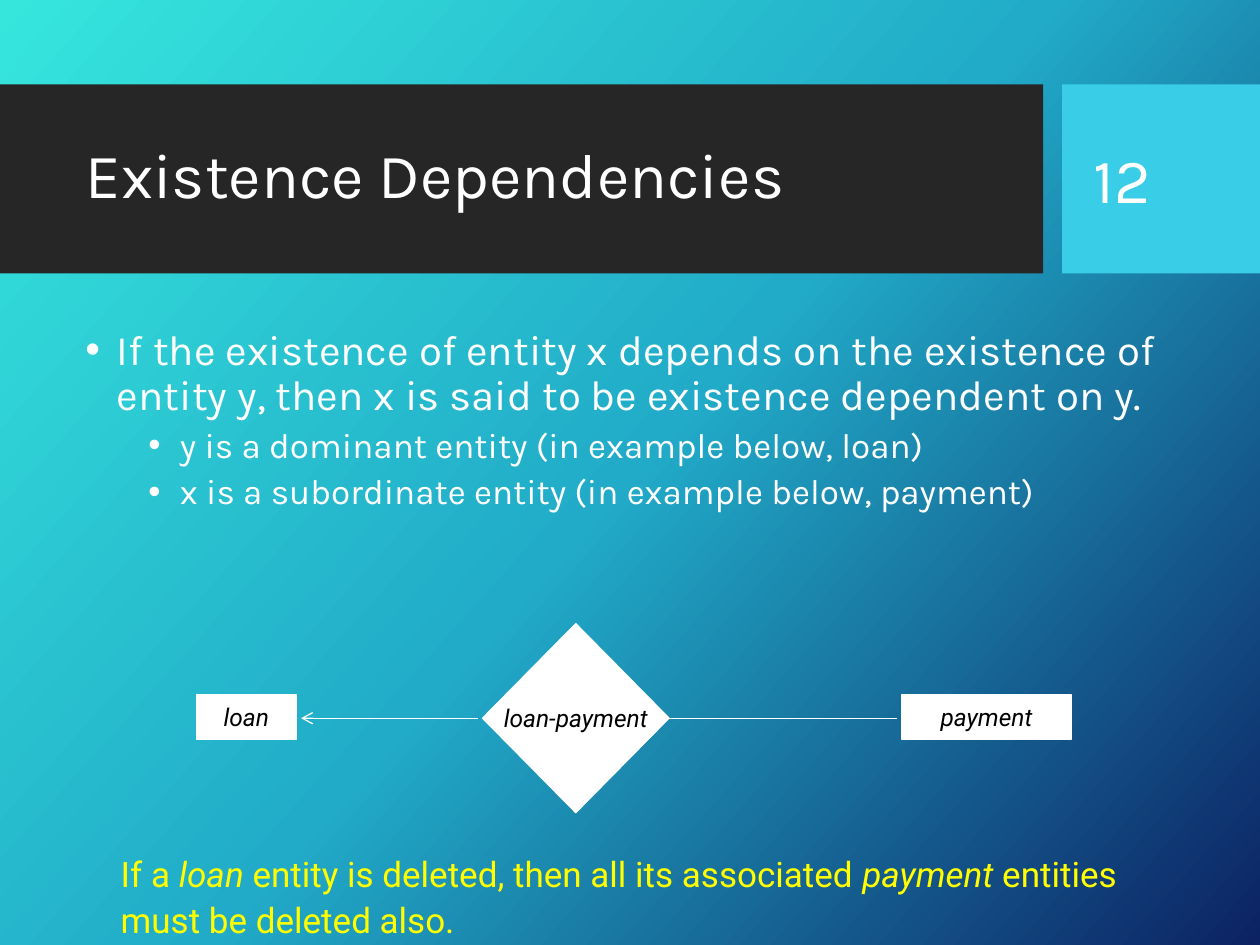
from copy import deepcopy
from lxml.etree import SubElement as Sub
from pptx import Presentation
from pptx.dml.color import RGBColor as RGB
from pptx.enum.shapes import MSO_CONNECTOR as Link, MSO_SHAPE as Kind
from pptx.enum.text import MSO_ANCHOR as Anchor, MSO_AUTO_SIZE as Fit, PP_ALIGN as Align
from pptx.oxml.ns import qn
from pptx.util import Inches, Pt

theme = {
    "sky": [(0, "36E6DD"), (0.5, "21ABC8"), (1, "0C2263")],
    "band": "262626", "tab": "39CDE7", "white": "FFFFFF", "black": "000000", "note": "FFFF00",
    "head": "Karla", "plain": "Roboto",
    "big": 36, "main": 24, "sub": 20, "small": 14,
}

deck = Presentation()
deck.slide_width, deck.slide_height = Inches(10), Inches(7.5)
slide = deck.slides.add_slide(deck.slide_layouts[5])
shapes = slide.shapes
col, row = deck.slide_width / 100, deck.slide_height / 75  # grid of 100 by 75


def cells(x, y, w, h):
    return [round(n) for n in (x * col, y * row, w * col, h * row)]


def style(para, size, color, font):
    for run in para.runs:
        run.font.size, run.font.name = Pt(theme[size]), theme[font]
        run.font.color.rgb = RGB.from_string(theme[color])


# Background gradient
fill = slide.background.fill
fill.gradient()
fill.gradient_angle = 360 - 42
stops = fill.gradient_stops
first = stops[0]._gs
first.addnext(deepcopy(first))
for stop, (pos, color) in zip(fill.gradient_stops, theme["sky"]):
    stop.position, stop.color.rgb = pos, RGB.from_string(color)

# Header band and number tab, behind the title
for spot, (x, w, color) in enumerate([(0, 82.8, "band"), (84.3, 15.7, "tab")], 2):
    bar = shapes.add_shape(Kind.RECTANGLE, *cells(x, 6.7, w, 15))
    bar.shadow.inherit = False
    bar.fill.solid()
    bar.fill.fore_color.rgb = RGB.from_string(theme[color])
    bar.line.fill.background()
    shapes._spTree.insert(spot, bar._element)

# Title and slide number
title = shapes.title
title.left, title.top, title.width, title.height = cells(5.8, 8.2, 75.4, 11.8)
number = shapes.add_textbox(*cells(85.8, 8.2, 12.7, 11.9))
for box, text, lead in [(title, "Existence Dependencies", 0.9), (number, "12", 1)]:
    frame = box.text_frame
    frame.text = text
    frame.word_wrap, frame.auto_size = True, Fit.NONE
    frame.vertical_anchor = Anchor.MIDDLE
    para = frame.paragraphs[0]
    para.alignment, para.line_spacing = Align.LEFT, lead
    style(para, "big", "white", "head")

# Bulleted text
points = [
    (0, "If the existence of entity x depends on the existence of entity y, "
        "then x is said to be existence dependent on y."),
    (1, "y is a dominant entity (in example below, loan)"),
    (1, "x is a subordinate entity (in example below, payment)"),
]
frame = shapes.add_textbox(*cells(5.8, 25.6, 88.3, 45.8)).text_frame
frame.word_wrap = True
frame.text = "\n".join(text for level, text in points)
for para, (level, text) in zip(frame.paragraphs, points):
    para.level, para.line_spacing = level, 0.9
    para.space_before = Pt(5 if level else 10)
    style(para, "sub" if level else "main", "white", "head")
    props = para._p.get_or_add_pPr()
    props.set("marL", str(Inches(0.25 + 0.5 * level)))
    props.set("indent", str(Inches(-0.25)))
    Sub(props, qn("a:buFont")).set("typeface", "Arial")
    Sub(props, qn("a:buChar")).set("char", "•")

# Entities and their relationship
nodes = [
    (Kind.DIAMOND, "loan-payment", 38.3, 49.5, 14.8, 15),
    (Kind.RECTANGLE, "payment", 71.6, 55.1, 13.4, 3.6),
    (Kind.RECTANGLE, "loan", 15.6, 55.1, 7.9, 3.6),
]
for kind, text, *area in nodes:
    node = shapes.add_shape(kind, *cells(*area))
    node.shadow.inherit = False
    node.fill.solid()
    node.fill.fore_color.rgb = node.line.color.rgb = RGB.from_string(theme["white"])
    node.line.width = Pt(0.75)
    frame = node.text_frame
    frame.text = text
    frame.word_wrap, frame.vertical_anchor = False, Anchor.MIDDLE
    para = frame.paragraphs[0]
    para.alignment = Align.CENTER
    style(para, "small", "black", "plain")
    para.runs[0].font.italic = True

# Links, with an arrow to the loan
for start, end, arrow in [(37.9, 23.9, True), (52.9, 71.2, False)]:
    x, y, to, _ = cells(start, 57, end, 0)
    link = shapes.add_connector(Link.STRAIGHT, x, y, to, y)
    link.line.color.rgb, link.line.width = RGB.from_string(theme["white"]), Pt(0.75)
    Sub(link._element.spPr, qn("a:effectLst"))
    if arrow:
        Sub(link.line._get_or_add_ln(), qn("a:tailEnd")).set("type", "arrow")

# Closing remark, every second part in italics
parts = ["If a ", "loan", " entity is deleted, then all its associated",
         " payment ", "entities must be deleted also."]
frame = shapes.add_textbox(*cells(8.6, 66.8, 83, 9)).text_frame
frame.word_wrap = True
para = frame.paragraphs[0]
para.line_spacing = 1.1
for index, text in enumerate(parts):
    run = para.add_run()
    run.text, run.font.italic = text, index % 2 == 1
style(para, "sub", "note", "plain")

deck.save("out.pptx")
